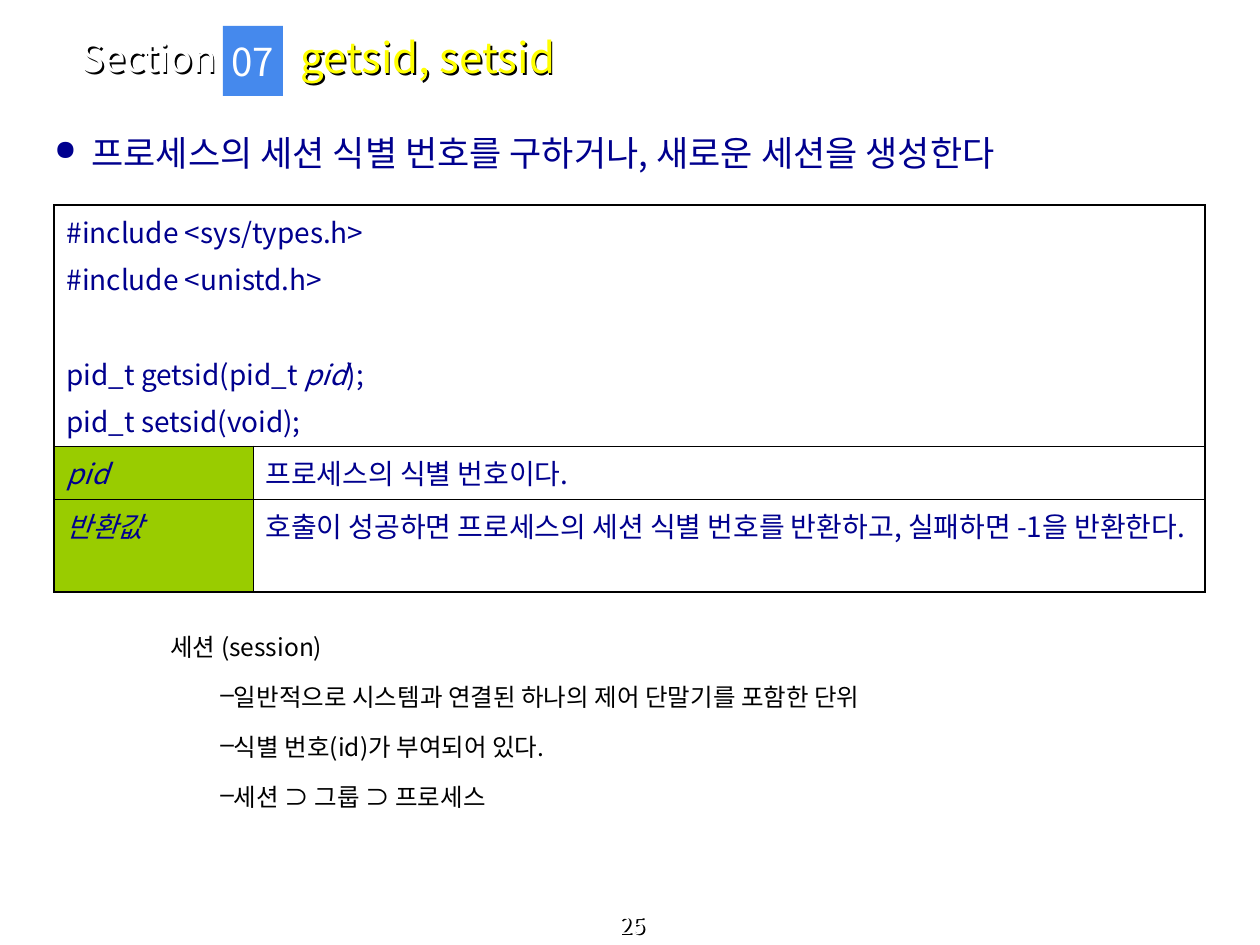
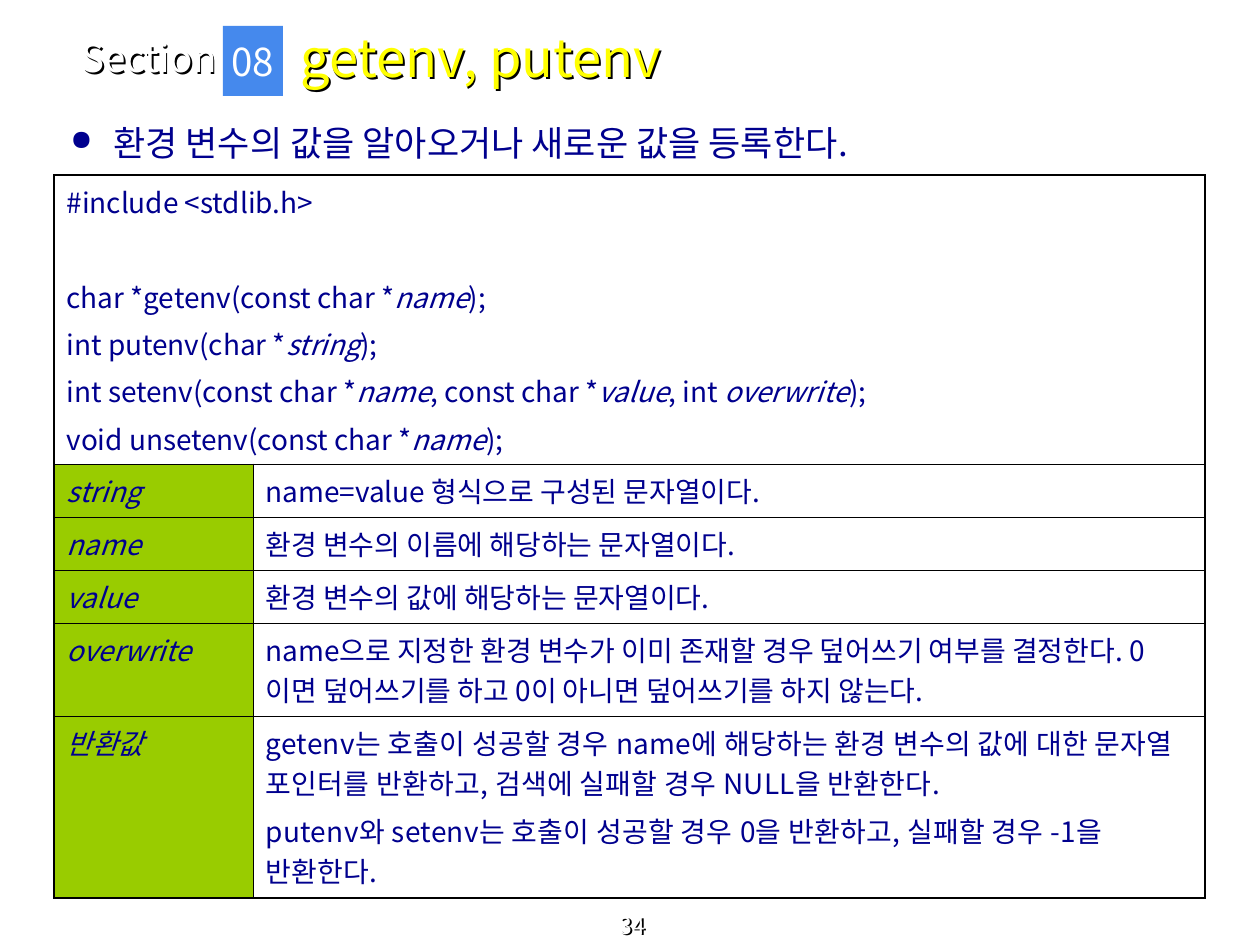
"""Build two slides on the session and environment functions of Unix."""
from lxml import etree
from pptx import Presentation
from pptx.dml.color import RGBColor
from pptx.enum.shapes import MSO_SHAPE
from pptx.enum.text import MSO_ANCHOR, PP_ALIGN
from pptx.oxml.ns import qn
from pptx.util import Pt

EMU_PER_PX = 914400 / 126
SLIDE_WIDTH, SLIDE_HEIGHT = 1260, 945
FONT = "Noto Sans CJK KR"

WHITE = RGBColor(0xFF, 0xFF, 0xFF)
BLACK = RGBColor(0x00, 0x00, 0x00)
NAVY = RGBColor(0x00, 0x00, 0x8E)
YELLOW = RGBColor(0xFF, 0xFF, 0x00)
BLUE = RGBColor(0x45, 0x89, 0xED)
GREEN = RGBColor(0x99, 0xCC, 0x00)

TOP, MIDDLE, BOTTOM = MSO_ANCHOR.TOP, MSO_ANCHOR.MIDDLE, MSO_ANCHOR.BOTTOM
LEFT, CENTER = PP_ALIGN.LEFT, PP_ALIGN.CENTER
RECTANGLE = MSO_SHAPE.RECTANGLE

TABLE_LEFT = 54
COLUMN_WIDTHS = (199, 952)
OUTER_LINE, INNER_LINE = 1.08, 0.45
CELL_SPACE = 4
CODE_GAP = 31
WIDE_TRACKING = 20

SESSION_CODE = [
    ["#include <sys/types.h>", "#include <unistd.h>"],
    ["pid_t getsid(pid_t |pid|);", "pid_t setsid(void);"],
]
SESSION_TERMS = [
    ("pid", ["프로세스의 식별 번호이다."], 53),
    ("반환값", ["호출이 성공하면 프로세스의 세션 식별 번호를 반환하고, 실패하면 -1을 반환한다."], 93),
]
SESSION_NOTES = [
    "일반적으로 시스템과 연결된 하나의 제어 단말기를 포함한 단위",
    "식별 번호(id)가 부여되어 있다.",
    "세션 ⊃ 그룹 ⊃ 프로세스",
]
ENVIRONMENT_CODE = [
    ["#include <stdlib.h>"],
    [
        "char *getenv(const char *|name|);",
        "int putenv(char *|string|);",
        "int setenv(const char *|name|, const char *|value|, int |overwrite|);",
        "void unsetenv(const char *|name|);",
    ],
]
ENVIRONMENT_TERMS = [
    ("string", ["name=value 형식으로 구성된 문자열이다."], 53),
    ("name", ["환경 변수의 이름에 해당하는 문자열이다."], 53),
    ("value", ["환경 변수의 값에 해당하는 문자열이다."], 53),
    ("overwrite", ["name으로 지정한 환경 변수가 이미 존재할 경우 덮어쓰기 여부를 결정한다. "
                   "0이면 덮어쓰기를 하고 0이 아니면 덮어쓰기를 하지 않는다."], 93),
    ("반환값", ["getenv는 호출이 성공할 경우 name에 해당하는 환경 변수의 값에 대한 "
             "문자열 포인터를 반환하고, 검색에 실패할 경우 NULL을 반환한다.",
             "putenv와 setenv는 호출이 성공할 경우 0을 반환하고, 실패할 경우 -1을 반환한다."], 182),
]


def px(length):
    """Turn px into EMU."""
    return round(length * EMU_PER_PX)


def style_run(run, size, color, italic=False, tracking=0):
    """Set the font of a run and its letter spacing."""
    font = run.font
    font.size, font.name, font.italic = Pt(size), FONT, italic
    font.color.rgb = color
    properties = run._r.get_or_add_rPr()
    properties.find(qn("a:latin")).addnext(etree.Element(qn("a:ea"), typeface=FONT))
    if tracking:
        properties.set("spc", str(tracking))


def write_line(paragraph, text, size, color, align=LEFT, before=0, italic=False, tracking=0):
    """Write a line whose parts between bars are italic."""
    paragraph.alignment = align
    paragraph.space_before = Pt(before)
    for index, part in enumerate(text.split("|")):
        run = paragraph.add_run()
        run.text = part
        style_run(run, size, color, italic or index % 2 == 1, tracking)


def set_bullet(paragraph, symbol, color, margin, indent, percent=100):
    """Give a paragraph a coloured bullet, its size and its indents."""
    properties = paragraph._p.get_or_add_pPr()
    properties.set("marL", str(px(margin)))
    properties.set("indent", str(px(indent)))
    bullet_color = etree.SubElement(properties, qn("a:buClr"))
    etree.SubElement(bullet_color, qn("a:srgbClr"), val=str(color))
    etree.SubElement(properties, qn("a:buSzPct"), val=str(percent * 1000))
    etree.SubElement(properties, qn("a:buChar"), char=symbol)


def add_text_area(slide, box, anchor=TOP):
    """Add a wrapping text box."""
    area = slide.shapes.add_textbox(*map(px, box))
    area.text_frame.word_wrap = True
    area.text_frame.vertical_anchor = anchor
    return area


def add_label(slide, box, text, size, color, anchor=MIDDLE, align=LEFT):
    """Add a line of text with a hard black shadow."""
    label = add_text_area(slide, box, anchor)
    write_line(label.text_frame.paragraphs[0], text, size, color, align)
    effects = etree.SubElement(label._element.spPr, qn("a:effectLst"))
    shadow = etree.SubElement(effects, qn("a:outerShdw"), dist="17961", dir="2700000")
    etree.SubElement(shadow, qn("a:srgbClr"), val=str(BLACK))


def add_section_number(slide, number):
    """Add the blue square with the section number."""
    square = slide.shapes.add_shape(RECTANGLE, *map(px, (223, 26, 60, 70)))
    square.shadow.inherit = False
    square.fill.solid()
    square.fill.fore_color.rgb = BLUE
    square.line.fill.background()
    square.text_frame.word_wrap = False
    square.text_frame.vertical_anchor = MIDDLE
    write_line(square.text_frame.paragraphs[0], number, 22, WHITE, CENTER)


def add_section_slide(deck, number, title, title_size, page):
    """Add a blank slide with section heading and page number."""
    slide = deck.slides.add_slide(deck.slide_layouts[6])
    add_label(slide, (0, 917, SLIDE_WIDTH, 28), f" {page}", 13, WHITE, BOTTOM, CENTER)
    add_label(slide, (69, 34, 243, 47), "Section", 22, WHITE)
    add_label(slide, (288, 14, 818, 86), title, title_size, YELLOW)
    add_section_number(slide, number)
    return slide


def add_summary(slide, top, text, margin, indent):
    """Add the bulleted sentence above the table."""
    paragraph = add_text_area(slide, (42, top, 1176, 60)).text_frame.paragraphs[0]
    write_line(paragraph, text, 20, NAVY, before=5)
    set_bullet(paragraph, "●", NAVY, margin, indent, 80)


def set_borders(cell, widths):
    """Draw the left, right, top and bottom lines of a cell."""
    properties = cell._tc.get_or_add_tcPr()
    for index, (side, width) in enumerate(zip("LRTB", widths)):
        line = etree.Element(qn(f"a:ln{side}"), w=str(Pt(width)))
        fill = etree.SubElement(line, qn("a:solidFill"))
        etree.SubElement(fill, qn("a:srgbClr"), val=str(BLACK))
        properties.insert(index, line)


def fill_cell(cell, groups, color=WHITE, italic=False, tracking=0):
    """Fill a cell with groups of lines, a gap between groups."""
    cell.fill.solid()
    cell.fill.fore_color.rgb = color
    frame = cell.text_frame
    paragraph = frame.paragraphs[0]
    for group_index, lines in enumerate(groups):
        for line_index, line in enumerate(lines):
            if group_index or line_index:
                paragraph = frame.add_paragraph()
            gap = CODE_GAP if group_index and not line_index else CELL_SPACE
            write_line(paragraph, line, 16, NAVY, before=gap, italic=italic, tracking=tracking)


def add_reference_table(slide, top, code, code_height, terms):
    """Add the table of declarations and explained terms."""
    heights = [code_height] + [height for _, _, height in terms]
    box = (TABLE_LEFT, top, sum(COLUMN_WIDTHS), sum(heights))
    table = slide.shapes.add_table(len(heights), 2, *map(px, box)).table
    table.first_row = table.horz_banding = False
    for column, width in zip(table.columns, COLUMN_WIDTHS):
        column.width = px(width)
    for row, height in zip(table.rows, heights):
        row.height = px(height)
    table.cell(0, 0).merge(table.cell(0, 1))
    fill_cell(table.cell(0, 0), code)
    for row, (term, meaning, _) in enumerate(terms, start=1):
        tracking = WIDE_TRACKING if len(meaning) > 1 else 0
        fill_cell(table.cell(row, 0), [[term]], GREEN, italic=True)
        fill_cell(table.cell(row, 1), [meaning], tracking=tracking)
    for row in range(len(heights)):
        for column in range(2):
            edges = (column == 0, column == 1 or row == 0, row == 0, row == len(terms))
            set_borders(table.cell(row, column),
                        [OUTER_LINE if edge else INNER_LINE for edge in edges])


def add_notes_list(slide, heading, notes):
    """Add a heading with dashed notes under it."""
    frame = add_text_area(slide, (158, 611, 1017, 258)).text_frame
    for index, text in enumerate([heading] + notes):
        paragraph = frame.add_paragraph() if index else frame.paragraphs[0]
        write_line(paragraph, text, 14, BLACK, before=3.5)
        paragraph.line_spacing = 1.5
        if index:
            set_bullet(paragraph, "–", BLACK, 25, 25)


def main():
    """Build and save both slides."""
    deck = Presentation()
    deck.slide_width, deck.slide_height = px(SLIDE_WIDTH), px(SLIDE_HEIGHT)

    session = add_section_slide(deck, "07", "getsid, setsid", 24, 25)
    add_summary(session, 125, " 프로세스의 세션 식별 번호를 구하거나, 새로운 세션을 생성한다", 29, -29)
    add_reference_table(session, 205, SESSION_CODE, 241, SESSION_TERMS)
    add_notes_list(session, "세션 (session)", SESSION_NOTES)

    environment = add_section_slide(deck, "08", "getenv, putenv", 30, 34)
    add_summary(environment, 115, "환경 변수의 값을 알아오거나 새로운 값을 등록한다.", 59, -43)
    add_reference_table(environment, 175, ENVIRONMENT_CODE, 289, ENVIRONMENT_TERMS)

    deck.save("out.pptx")


if __name__ == "__main__":
    main()
